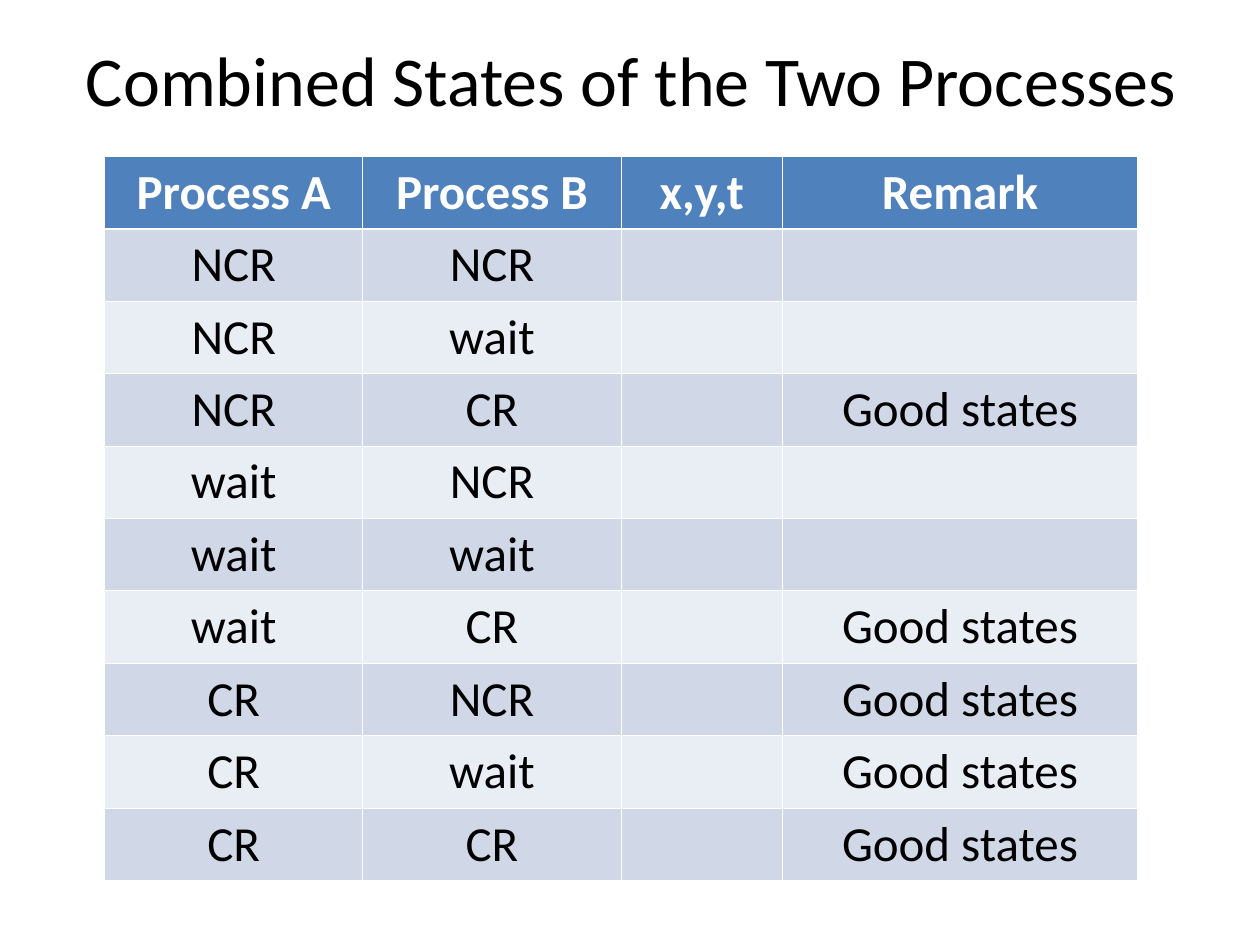
"""Build a slide with a table of the combined states of two processes."""
from itertools import product

from lxml import etree
from pptx import Presentation
from pptx.dml.color import RGBColor
from pptx.enum.text import MSO_ANCHOR, PP_ALIGN
from pptx.oxml.ns import qn
from pptx.util import Inches, Pt

CENTER = PP_ALIGN.CENTER
MIDDLE = MSO_ANCHOR.MIDDLE
COLORS = {"header": "4F81BD", "odd": "D0D8E8", "even": "E9EDF4",
          "line": "FFFFFF", "head text": "FFFFFF", "text": "000000"}
FONT = "Calibri"
THIN, THICK = 0.45, 1.47
COLUMN_WIDTHS = [2.05, 2.05, 1.28, 2.82]
ROW_HEIGHT = 0.575
STATES = ["NCR", "wait", "CR"]


def write(para, text, size, color, bold=False):
    para.text = text
    para.alignment = CENTER
    para.font.name = FONT
    para.font.size = Pt(size)
    para.font.bold = bold
    para.font.color.rgb = RGBColor.from_string(COLORS[color])


def add_border(cell, side, width):
    properties = cell._tc.get_or_add_tcPr()
    line = etree.SubElement(properties, qn(f"a:ln{side}"), w=str(Pt(width)))
    fill = etree.SubElement(line, qn("a:solidFill"))
    etree.SubElement(fill, qn("a:srgbClr"), val=COLORS["line"])


deck = Presentation()
deck.slide_width, deck.slide_height = Inches(10), Inches(7.5)
page = deck.slides.add_slide(deck.slide_layouts[6])

title = page.shapes.add_textbox(Inches(0.51), 0, Inches(9), Inches(1.25))
title.text_frame.word_wrap = True
title.text_frame.vertical_anchor = MIDDLE
write(title.text_frame.paragraphs[0], "Combined States of the Two Processes", 40, "text")

rows = [["Process A", "Process B", "x,y,t", "Remark"]]
for pair in product(STATES, repeat=2):
    rows.append([*pair, "", "Good states" if "CR" in pair else ""])

frame = page.shapes.add_table(
    len(rows), len(COLUMN_WIDTHS), Inches(0.83), Inches(1.24),
    Inches(sum(COLUMN_WIDTHS)), Inches(ROW_HEIGHT * len(rows)))
table = frame.table
for column, width in zip(table.columns, COLUMN_WIDTHS):
    column.width = Inches(width)

for row_number, texts in enumerate(rows):
    is_header = row_number == 0
    band = "header" if is_header else "odd" if row_number % 2 else "even"
    borders = {"L": THIN, "R": THIN,
               "T": THICK if row_number == 1 else THIN,
               "B": THICK if is_header else THIN}
    table.rows[row_number].height = Inches(ROW_HEIGHT)
    for column_number, text in enumerate(texts):
        cell = table.cell(row_number, column_number)
        for side, width in borders.items():
            add_border(cell, side, width)
        cell.fill.solid()
        cell.fill.fore_color.rgb = RGBColor.from_string(COLORS[band])
        if text:
            write(cell.text_frame.paragraphs[0], text, 28,
                  "head text" if is_header else "text", is_header)

deck.save("out.pptx")
